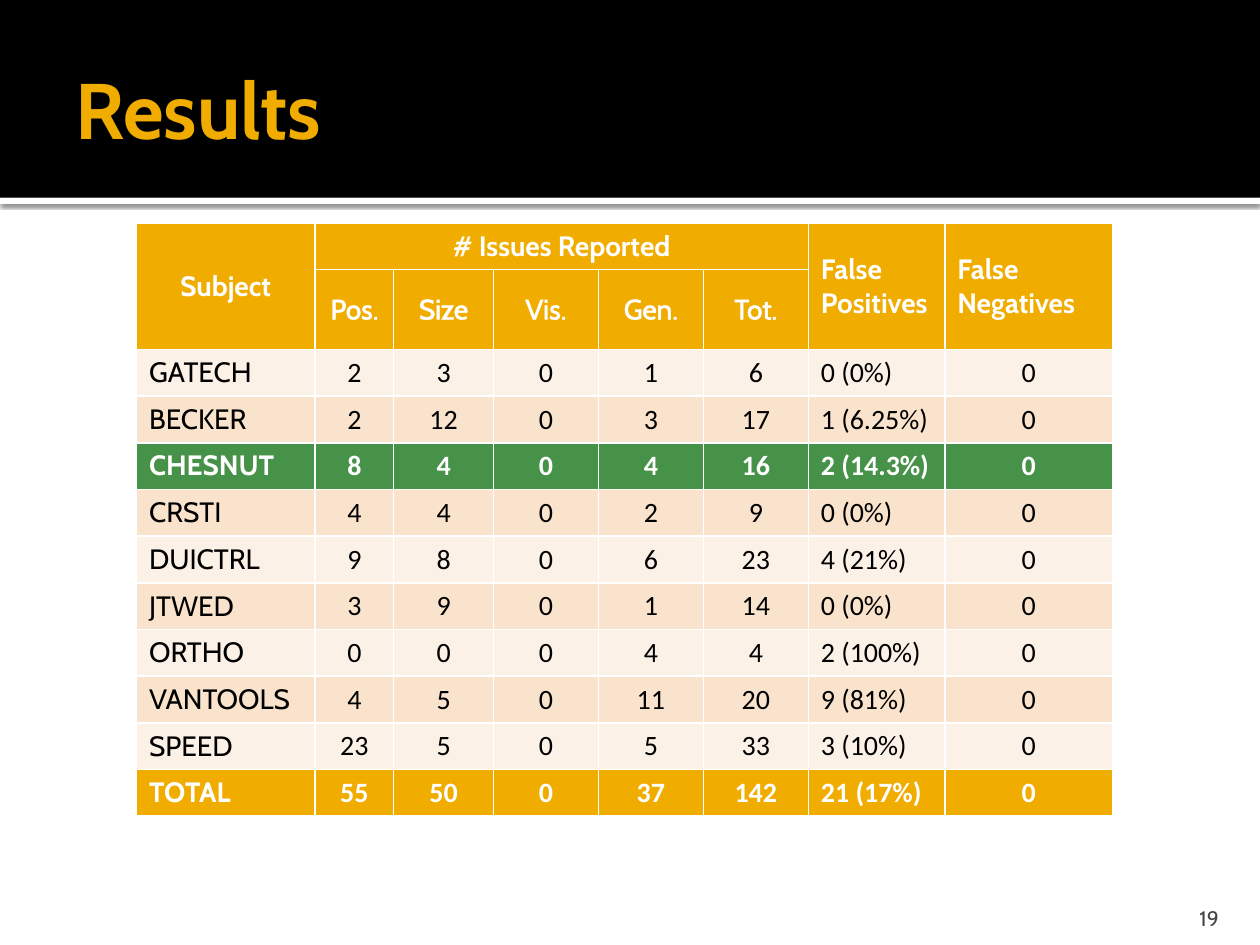
"""Build the results slide: a title band above a table of reported issues."""
from dataclasses import dataclass

from lxml.etree import SubElement
from pptx import Presentation
from pptx.dml.color import RGBColor
from pptx.enum.shapes import MSO_SHAPE
from pptx.enum.text import MSO_ANCHOR, PP_ALIGN
from pptx.oxml import parse_xml
from pptx.oxml.ns import nsdecls, qn
from pptx.util import Pt


@dataclass(frozen=True)
class Theme:
    white: str = "FFFFFF"
    black: str = "000000"
    gold: str = "F0AD00"
    green: str = "479249"
    light: str = "FCF1E7"
    dark: str = "F9E3CC"
    grey: str = "454545"
    text_font: str = "Cabin"
    number_font: str = "Calibri"
    title_size: int = 45
    table_size: int = 16
    page_size: int = 12


THEME = Theme()
COLUMN_WIDTHS = [102, 45, 57, 60, 60, 60, 78, 96]
HEADER_HEIGHTS = [26.5, 45.7]
ROW_HEIGHT = 26.7
HEADERS = [
    ["Subject", "# Issues Reported", "", "", "", "", "False Positives", "False Negatives"],
    ["", "Pos.", "Size", "Vis.", "Gen.", "Tot.", "", ""],
]
RESULTS = [
    ["GATECH", "2", "3", "0", "1", "6", "0 (0%)", "0"],
    ["BECKER", "2", "12", "0", "3", "17", "1 (6.25%)", "0"],
    ["CHESNUT", "8", "4", "0", "4", "16", "2 (14.3%)", "0"],
    ["CRSTI", "4", "4", "0", "2", "9", "0 (0%)", "0"],
    ["DUICTRL", "9", "8", "0", "6", "23", "4 (21%)", "0"],
    ["JTWED", "3", "9", "0", "1", "14", "0 (0%)", "0"],
    ["ORTHO", "0", "0", "0", "4", "4", "2 (100%)", "0"],
    ["VANTOOLS", "4", "5", "0", "11", "20", "9 (81%)", "0"],
    ["SPEED", "23", "5", "0", "5", "33", "3 (10%)", "0"],
    ["TOTAL", "55", "50", "0", "37", "142", "21 (17%)", "0"],
]
HIGHLIGHTS = {"CHESNUT": THEME.green, "TOTAL": THEME.gold}


def style_paragraph(p, size, color, font=THEME.text_font, bold=False, align=PP_ALIGN.LEFT):
    """Set the alignment and font of a paragraph."""
    p.alignment = align
    p.font.size = Pt(size)
    p.font.name = font
    p.font.bold = bold
    p.font.color.rgb = RGBColor.from_string(color)


def add_text(s, box, text, insets, anchor, **style):
    """Add a text box holding one styled paragraph."""
    tf = s.shapes.add_textbox(*map(Pt, box)).text_frame
    tf.word_wrap = True
    tf.vertical_anchor = anchor
    tf.margin_left, tf.margin_top, tf.margin_right, tf.margin_bottom = map(Pt, insets)
    p = tf.paragraphs[0]
    p.text = text
    style_paragraph(p, **style)


def add_band(s, top, height, color):
    """Add a full-width rectangle without outline or shadow."""
    sp = s.shapes.add_shape(MSO_SHAPE.RECTANGLE, 0, Pt(top), Pt(720), Pt(height))
    sp.shadow.inherit = False
    sp.fill.solid()
    sp.fill.fore_color.rgb = RGBColor.from_string(color)
    sp.line.fill.background()
    return sp


def add_shadow(sp):
    """Cast a soft shadow straight down from a shape."""
    effects = sp._element.spPr.find(qn("a:effectLst"))
    shadow = SubElement(effects, qn("a:outerShdw"), blurRad=str(Pt(2.5)),
                        dist=str(Pt(0.8)), dir="5400000", algn="t", rotWithShape="0")
    color = SubElement(shadow, qn("a:srgbClr"), val=THEME.black)
    SubElement(color, qn("a:alpha"), val="60000")


def line_xml(tag, width):
    """Return a solid white line element."""
    return parse_xml(f'<a:{tag} {nsdecls("a")} w="{Pt(width)}"><a:solidFill>'
                     f'<a:srgbClr val="{THEME.white}"/></a:solidFill></a:{tag}>')


def fill_cell(cell, text, fill, **style):
    """Set the fill, borders and text of a table cell."""
    cell.fill.solid()
    cell.fill.fore_color.rgb = RGBColor.from_string(fill)
    for i, tag in enumerate(("lnL", "lnR", "lnT", "lnB")):
        cell._tc.get_or_add_tcPr().insert(i, line_xml(tag, 1))
    p = cell.text_frame.paragraphs[0]
    p.text = text
    style_paragraph(p, THEME.table_size, **style)


def column_align(column, left_columns):
    """Centre every column except the given ones."""
    return PP_ALIGN.LEFT if column in left_columns else PP_ALIGN.CENTER


def fill_headers(table):
    """Fill and merge the two header rows."""
    for i, row in enumerate(HEADERS):
        for j, text in enumerate(row):
            cell = table.cell(i, j)
            fill_cell(cell, text, THEME.gold, color=THEME.white,
                      bold=i == 0, align=column_align(j, (6, 7)))
            cell.vertical_anchor = MSO_ANCHOR.MIDDLE
            if i == 1:
                for r in cell.text_frame.paragraphs[0].runs:
                    r._r.get_or_add_rPr().insert(0, line_xml("ln", 0.75))
    table.cell(0, 1).merge(table.cell(0, 5))
    for j in (0, 6, 7):
        table.cell(0, j).merge(table.cell(1, j))


def fill_results(table):
    """Fill the body rows with alternating or highlighted colours."""
    for i, row in enumerate(RESULTS):
        marked = row[0] in HIGHLIGHTS
        fill = HIGHLIGHTS.get(row[0], THEME.dark if i % 2 else THEME.light)
        for j, text in enumerate(row):
            fill_cell(table.cell(i + len(HEADERS), j), text, fill,
                      color=THEME.white if marked else THEME.black, bold=marked,
                      font=THEME.number_font if j else THEME.text_font,
                      align=column_align(j, (0, 6)))


def add_results_table(s):
    """Add the table of issues per subject."""
    heights = HEADER_HEIGHTS + [ROW_HEIGHT] * len(RESULTS)
    table = s.shapes.add_table(len(heights), len(COLUMN_WIDTHS), Pt(78), Pt(127.5),
                               Pt(sum(COLUMN_WIDTHS)), Pt(sum(heights))).table
    for column, width in zip(table.columns, COLUMN_WIDTHS):
        column.width = Pt(width)
    for row, height in zip(table.rows, heights):
        row.height = Pt(height)
    fill_headers(table)
    fill_results(table)


def main():
    """Build and save the slide."""
    prs = Presentation()
    prs.slide_width, prs.slide_height = Pt(720), Pt(540)
    s = prs.slides.add_slide(prs.slide_layouts[6])
    add_shadow(add_band(s, 113, 3.6, THEME.white))
    add_band(s, 0, 113, THEME.black)
    add_text(s, (36, 12.3, 648, 98.6), "Results", (7.2, 3.6, 3.6, 3.6), MSO_ANCHOR.MIDDLE,
             size=THEME.title_size, color=THEME.gold, bold=True)
    add_results_table(s)
    add_text(s, (646, 510, 57.6, 21.6), "19", (7.2, 3.6, 7.2, 0), MSO_ANCHOR.BOTTOM,
             size=THEME.page_size, color=THEME.grey, align=PP_ALIGN.RIGHT)
    prs.save("out.pptx")


if __name__ == "__main__":
    main()
